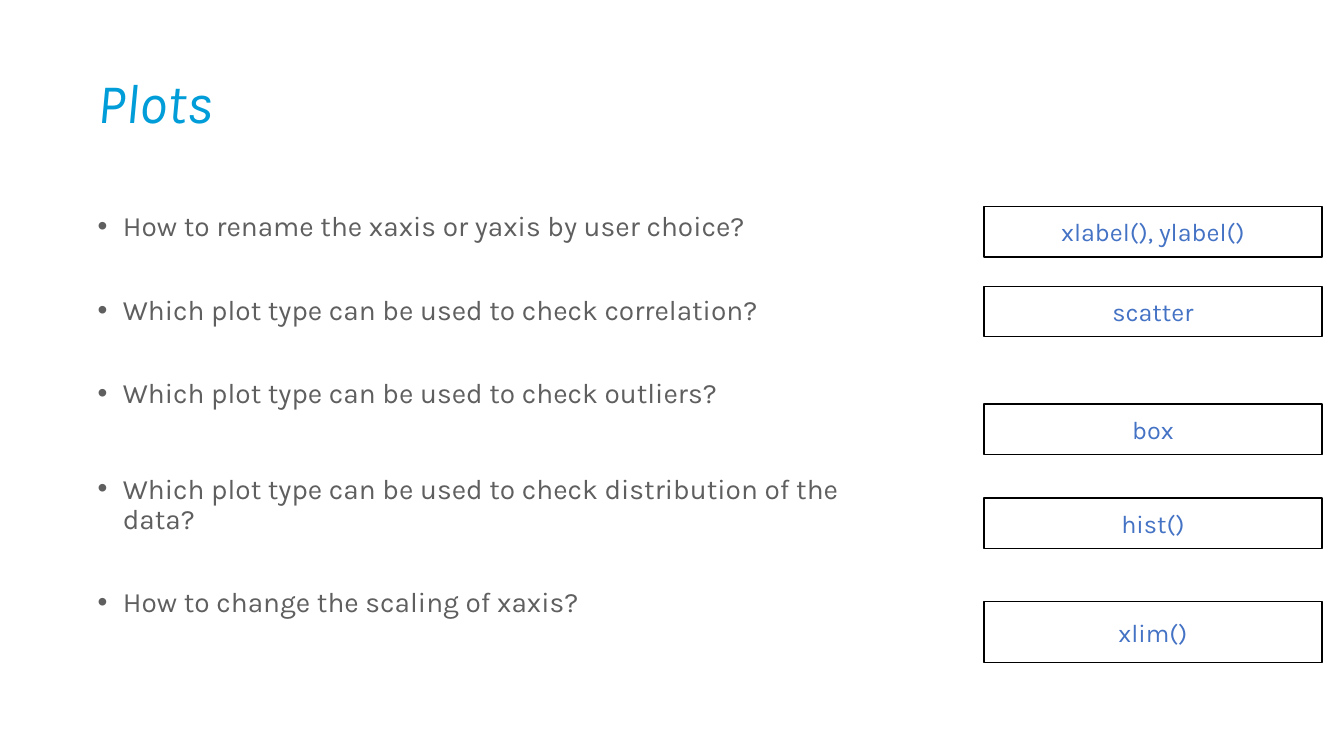
from dataclasses import dataclass

from lxml.etree import SubElement
from pptx import Presentation
from pptx.dml.color import RGBColor
from pptx.enum.shapes import MSO_SHAPE
from pptx.enum.text import MSO_ANCHOR, PP_ALIGN
from pptx.oxml.ns import qn
from pptx.slide import Slide
from pptx.util import Inches, Pt

FONT = "Karla"
TITLE_BLUE = "009DD9"
QUESTION_GREY = "5F5F5F"
ANSWER_BLUE = "4472C4"
WHITE = "FFFFFF"
BLACK = "000000"


@dataclass
class Question:
    text: str
    space_before: float
    answer: str
    answer_top: float
    answer_height: float = 0.5


QUESTIONS = [
    Question("How to rename the xaxis or yaxis by user choice?", 0, "xlabel(), ylabel()", 2.05),
    Question("Which plot type can be used to check correlation?", 38, "scatter", 2.84),
    Question("Which plot type can be used to check outliers?", 38, "box", 4.01),
    Question("Which plot type can be used to check distribution of the data?", 46.5, "hist()", 4.94),
    Question("How to change the scaling of xaxis?", 38, "xlim()", 5.97, 0.6),
]


def rgb(hex_color: str) -> RGBColor:
    return RGBColor.from_string(hex_color)


def style(paragraph, size: float, color: str) -> None:
    paragraph.font.name = FONT
    paragraph.font.size = Pt(size)
    paragraph.font.color.rgb = rgb(color)


def add_bullet(paragraph) -> None:
    properties = paragraph._p.get_or_add_pPr()
    properties.set("marL", str(Inches(0.25)))
    properties.set("indent", str(Inches(-0.25)))
    SubElement(properties, qn("a:buFont")).set("typeface", "Arial")
    SubElement(properties, qn("a:buChar")).set("char", "•")


def add_title(slide: Slide, text: str) -> None:
    title = slide.shapes.title
    title.left, title.top = Inches(0.87), Inches(0.74)
    title.width, title.height = Inches(8.09), Inches(0.62)
    title.text_frame.text = text
    title.text_frame.vertical_anchor = MSO_ANCHOR.MIDDLE
    heading = title.text_frame.paragraphs[0]
    heading.alignment = PP_ALIGN.LEFT
    heading.line_spacing = 0.9
    style(heading, 40, TITLE_BLUE)
    heading.font.italic = True


def add_questions(slide: Slide, questions: list[Question]) -> None:
    question_list = slide.shapes.add_textbox(
        Inches(0.87), Inches(2.06), Inches(7.98), Inches(5.08)
    ).text_frame
    question_list.word_wrap = True
    for index, question in enumerate(questions):
        item = question_list.add_paragraph() if index else question_list.paragraphs[0]
        item.text = question.text
        item.line_spacing = 0.9
        item.space_before = Pt(question.space_before)
        add_bullet(item)
        style(item, 20, QUESTION_GREY)


def add_answer(slide: Slide, question: Question) -> None:
    answer = slide.shapes.add_shape(
        MSO_SHAPE.FLOWCHART_PROCESS,
        Inches(9.76), Inches(question.answer_top),
        Inches(3.35), Inches(question.answer_height),
    )
    answer.shadow.inherit = False
    answer.fill.solid()
    answer.fill.fore_color.rgb = rgb(WHITE)
    answer.line.color.rgb = rgb(BLACK)
    answer.line.width = Pt(1)
    answer.text_frame.text = question.answer
    answer.text_frame.word_wrap = True
    answer.text_frame.vertical_anchor = MSO_ANCHOR.MIDDLE
    label = answer.text_frame.paragraphs[0]
    label.alignment = PP_ALIGN.CENTER
    style(label, 18, ANSWER_BLUE)


def main() -> None:
    presentation = Presentation()
    presentation.slide_width = Inches(13.33)
    presentation.slide_height = Inches(7.5)
    slide = presentation.slides.add_slide(presentation.slide_layouts[5])

    # Title and questions on the left
    add_title(slide, "Plots")
    add_questions(slide, QUESTIONS)

    # Answer boxes on the right
    for question in QUESTIONS:
        add_answer(slide, question)

    presentation.save("out.pptx")


if __name__ == "__main__":
    main()
